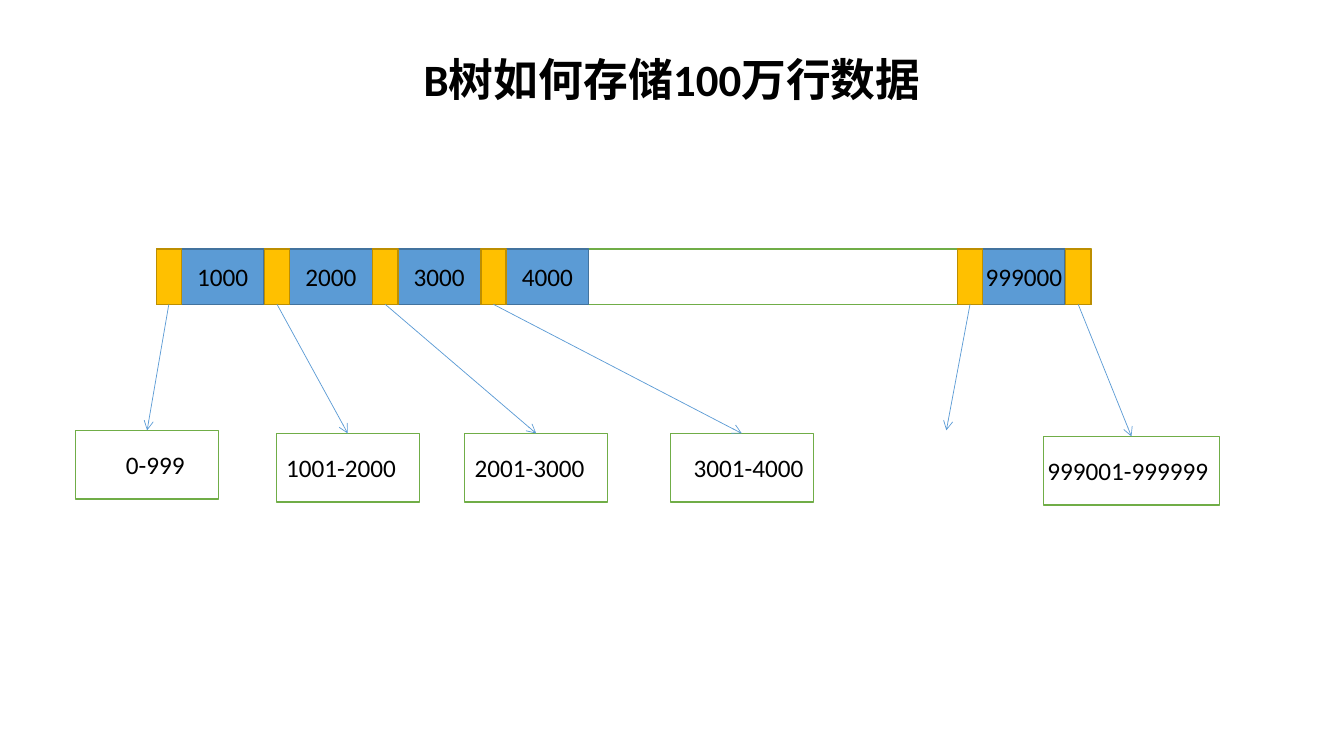
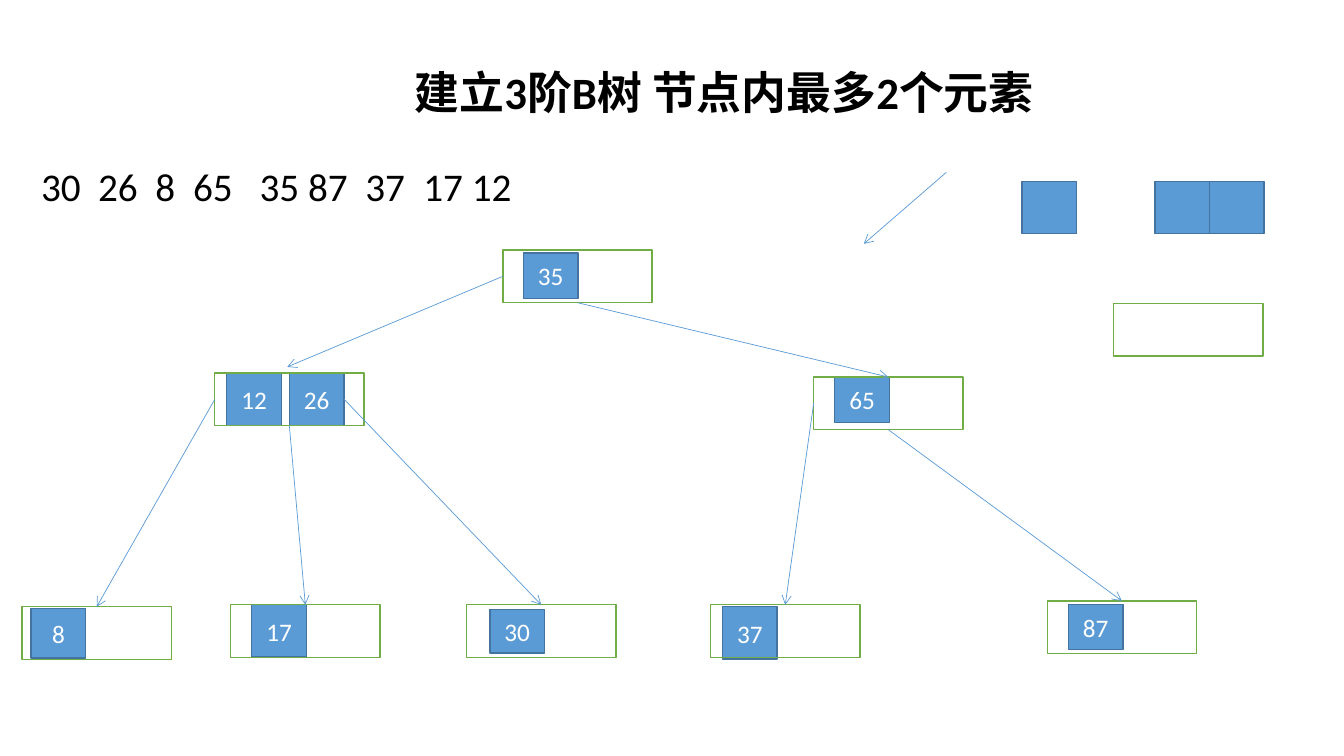
from lxml.etree import SubElement
from pptx import Presentation
from pptx.dml.color import RGBColor
from pptx.enum.shapes import MSO_CONNECTOR as Connector, MSO_SHAPE as Preset
from pptx.enum.text import MSO_ANCHOR as Anchor, PP_ALIGN as Align
from pptx.oxml.ns import qn
from pptx.util import Pt

BLACK = RGBColor(0x00, 0x00, 0x00)
WHITE = RGBColor(0xFF, 0xFF, 0xFF)
BLUE = RGBColor(0x5B, 0x9B, 0xD5)
DARK_BLUE = RGBColor(0x43, 0x73, 0x9E)
GREEN = RGBColor(0x70, 0xAD, 0x47)
GOLD = RGBColor(0xFF, 0xC0, 0x00)
DARK_GOLD = RGBColor(0xBD, 0x8E, 0x00)
FONT = "Calibri"
TOP, LEFT, BOTTOM, RIGHT = range(4)
TITLE_ONLY = 5

SLOT_PITCH, POINTER_WIDTH, KEY_WIDTH = 77.3, 18, 59
NODE_WIDTH, NODE_HEIGHT, NODE_KEY_WIDTH = 106.6, 37.6, 39


def write(frame, text, size=18, color=BLACK, bold=False, align=Align.CENTER,
          anchor=Anchor.MIDDLE, line_spacing=None, tabs=()):
    """Put one formatted paragraph into a text frame."""
    frame.word_wrap = True
    frame.vertical_anchor = anchor
    paragraph = frame.paragraphs[0]
    paragraph.text = text
    paragraph.alignment = align
    paragraph.line_spacing = line_spacing
    if tabs:
        tab_list = SubElement(paragraph._p.get_or_add_pPr(), qn("a:tabLst"))
        for position in tabs:
            SubElement(tab_list, qn("a:tab"), pos=str(Pt(position)), algn="l")
    font = paragraph.runs[0].font
    font.name, font.size, font.bold = FONT, Pt(size), bold
    font.color.rgb = color


def add_title(slide, text, box):
    """Place and format the slide title."""
    title = slide.shapes.title
    title.left, title.top, title.width, title.height = map(Pt, box)
    write(title.text_frame, text, size=32, bold=True, line_spacing=0.9)


def rectangle(slide, box, fill, line, text="", inset=0, **text_format):
    """Draw a rectangle with an optional label."""
    shape = slide.shapes.add_shape(Preset.RECTANGLE, *map(Pt, box))
    shape.shadow.inherit = False
    if fill is None:
        shape.fill.background()
    else:
        shape.fill.solid()
        shape.fill.fore_color.rgb = fill
    shape.line.color.rgb = line
    shape.line.width = Pt(1)
    if text:
        frame = shape.text_frame
        frame.margin_left, frame.margin_right = Pt(inset), 0
        write(frame, text, **text_format)
    return shape


def arrow(slide, start=(0, 0), finish=(0, 0), begin=None, end=None):
    """Draw an arrow between points or (shape, side) joints."""
    connector = slide.shapes.add_connector(
        Connector.STRAIGHT, *map(Pt, (*start, *finish)))
    if begin:
        connector.begin_connect(*begin)
    if end:
        connector.end_connect(*end)
    connector.line.color.rgb = BLUE
    connector.line.width = Pt(0.5)
    SubElement(connector.line._get_or_add_ln(), qn("a:tailEnd"), type="arrow")
    SubElement(connector._element.spPr, qn("a:effectLst"))


def index_row(slide, box, keys):
    """Draw the root node and return its pointer cells."""
    left, top, width, height = box
    rectangle(slide, box, WHITE, GREEN)
    last = width - POINTER_WIDTH
    offsets = [index * SLOT_PITCH for index in range(len(keys) - 1)]
    offsets.append(last - SLOT_PITCH)
    for offset, key in zip(offsets, keys):
        rectangle(slide, (left + offset + POINTER_WIDTH, top, KEY_WIDTH, height),
                  BLUE, DARK_BLUE, key)
    return [rectangle(slide, (left + offset, top, POINTER_WIDTH, height),
                      GOLD, DARK_GOLD) for offset in offsets + [last]]


def storage_slide(slide):
    """Show how a B-tree root points to ranges of rows."""
    add_title(slide, "B树如何存储100万行数据", (66.2, 28.8, 828, 59))
    pointers = index_row(slide, (111.6, 177.8, 667.6, 39.6),
                         ["1000", "2000", "3000", "4000", "999000"])
    leaves = [
        (0, "0-999", 54, 307.4, 102.2, 36),
        (1, "1001-2000", 197.3, 309.6, 102.2, 7.2),
        (2, "2001-3000", 331.9, 309.6, 102.2, 7.2),
        (3, "3001-4000", 478.8, 309.6, 102.2, 16.6),
        (5, "999001-999999", 745.2, 311.8, 126, 2.9),
    ]
    for index, label, left, top, width, inset in leaves:
        leaf = rectangle(slide, (left, top, width, 49), WHITE, GREEN, label,
                         inset=inset, align=Align.LEFT)
        arrow(slide, begin=(pointers[index], BOTTOM), end=(leaf, TOP))
    arrow(slide, begin=(pointers[4], BOTTOM), finish=(676, 307.4))


def node_key(slide, left, top, height=37.4, text=""):
    """Draw one key of a tree node."""
    return rectangle(slide, (left, top, NODE_KEY_WIDTH, height),
                     BLUE, DARK_BLUE, text, color=WHITE)


def tree_node(slide, left, top, keys=(), drop=0, height=37.4):
    """Draw a node over its keys and return the outline and keys."""
    key_shapes = [node_key(slide, left + offset, top + drop, height, text)
                  for text, offset in keys]
    outline = rectangle(slide, (left, top, NODE_WIDTH, NODE_HEIGHT), None, GREEN)
    return outline, key_shapes


def tree(slide, left, top):
    """Draw the three-level tree with its top left corner at the given point."""
    places = {
        "root": (343.4, 0, [("35", 14.6)], 2.2, 32.4),
        "low": (137.6, 87.9, [("12", 8.6), ("26", 53.4)], 0, 37.4),
        "high": (565.4, 90.7, [("65", 15.1)], 0, 32.4),
        "8": (0, 254.8, [("8", 6.5)], 1.4, 35.3),
        "17": (149, 253.4, [("17", 15.1)], 0, 37.4),
        "30": (317.5, 253.4, [("30", 16.6)], 3.4, 31),
        "37": (491.8, 253.4, [("37", 8.6)], 1.4, 37.4),
        "87": (732.2, 250.6, [("87", 15.1)], 2.4, 32.4),
    }
    nodes, keys = {}, {}
    for name, (across, down, *details) in places.items():
        nodes[name], keys[name] = tree_node(slide, left + across, top + down, *details)
    links = [
        (nodes["root"], BOTTOM, "high"),
        (nodes["low"], LEFT, "8"),
        (nodes["low"], BOTTOM, "17"),
        (keys["low"][1], RIGHT, "30"),
        (nodes["high"], LEFT, "37"),
        (nodes["high"], BOTTOM, "87"),
    ]
    for parent, side, child in links:
        arrow(slide, begin=(parent, side), end=(nodes[child], TOP))
    arrow(slide, begin=(nodes["root"], LEFT), finish=(left + 189.4, top + 83.5))


def spare_parts(slide, left, top):
    """Draw the unused arrow, keys and node beside the tree."""
    arrow(slide, start=(left, top), finish=(left - 59, top + 51.1))
    for offset in (54, 149, 149 + NODE_KEY_WIDTH):
        node_key(slide, left + offset, top + 6.5)
    tree_node(slide, left + 119.5, top + 93.6)


def number_list(slide, box):
    """Show the numbers in their order of insertion."""
    text_box = slide.shapes.add_textbox(*map(Pt, box))
    write(text_box.text_frame, "30\t26\t8\t65\t35 87\t37\t17 12", size=28,
          align=Align.LEFT, anchor=Anchor.TOP,
          tabs=(40.7, 81.6, 108.6, 156, 231.6, 273))


def build_slide(slide):
    """Show the finished tree of order three."""
    add_title(slide, "建立3阶B树 节点内最多2个元素", (152.6, 23.8, 729.4, 88.6))
    number_list(slide, (22.3, 112.3, 406, 41))
    tree(slide, 15.8, 178.6)
    spare_parts(slide, 676, 123.1)


def main():
    """Build and save the presentation."""
    presentation = Presentation()
    presentation.slide_width, presentation.slide_height = Pt(960), Pt(540)
    layout = presentation.slide_layouts[TITLE_ONLY]
    for fill_slide in (storage_slide, build_slide):
        fill_slide(presentation.slides.add_slide(layout))
    presentation.save("out.pptx")


if __name__ == "__main__":
    main()
